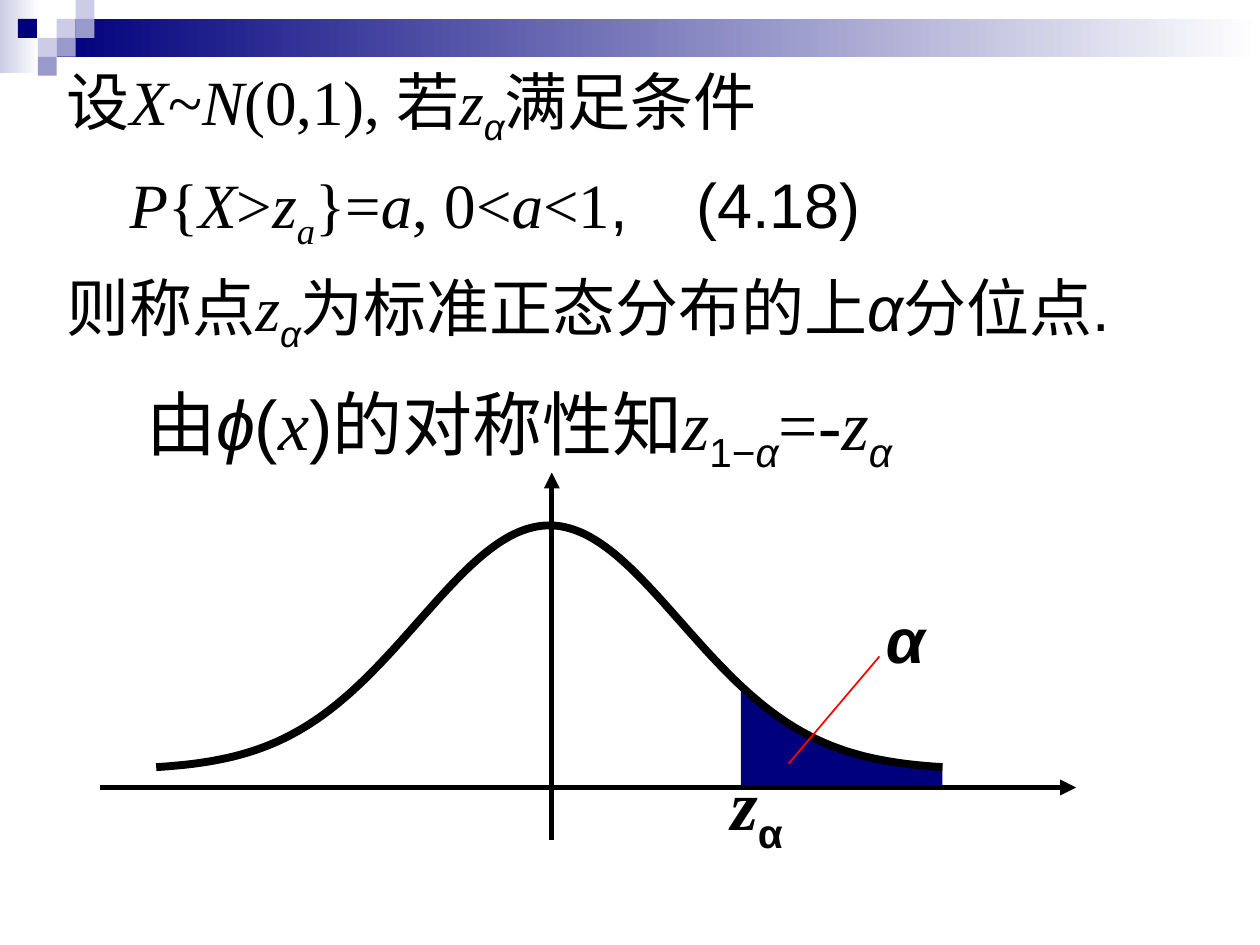
"""Build a slide that defines the upper alpha quantile of the normal distribution."""
import math
from dataclasses import dataclass
from typing import NamedTuple

import pptx
import pptx.dml.color
import pptx.enum.shapes
import pptx.enum.text
import pptx.oxml
import pptx.oxml.ns
import pptx.util
from lxml import etree

RGB = pptx.dml.color.RGBColor
NAVY = RGB(0x00, 0x00, 0x7D)
LAVENDER = RGB(0xCC, 0xCC, 0xE6)
VIOLET = RGB(0x99, 0x99, 0xCC)
WHITE = RGB(0xFF, 0xFF, 0xFF)
BLACK = RGB(0x00, 0x00, 0x00)
RED = RGB(0xFF, 0x00, 0x00)
SANS, SERIF = "Arial", "Times New Roman"
COLS, ROWS = 100, 75
TILE = 1.5
MEAN, SIGMA, SPREAD = 43.6, 10.4, 31.2
FLOOR, HEIGHT, AXIS = 61.1, 19.4, 62.4
QUANTILE = 58.8


class Box(NamedTuple):
    left: float
    top: float
    width: float
    height: float


class Span(NamedTuple):
    text: str
    font: str = SANS
    italic: bool = False
    sub: bool = False


@dataclass(frozen=True)
class Tile:
    col: float
    row: float
    color: RGB
    cols: float = 1
    rows: float = 1
    fade: bool = False


@dataclass(frozen=True)
class Rule:
    start: tuple
    end: tuple
    color: RGB = BLACK
    width: float = 3
    arrow: bool = True


TILES = [
    Tile(0, 0, LAVENDER, 2.07, 3.87, True),
    Tile(3, 1, NAVY, 63.67, 2, True),
    Tile(3, 1, LAVENDER),
    Tile(4, 0, LAVENDER),
    Tile(4, 1, VIOLET),
    Tile(2, 2, LAVENDER),
    Tile(0.95, 1, NAVY),
    Tile(3, 2, VIOLET),
    Tile(2, 3, VIOLET),
]
AXES = [Rule((7.9, 62.5), (85.4, 62.5)), Rule((43.8, 66.7), (43.8, 37.5))]
POINTER = Rule((62.6, 60.6), (69.8, 52.1), RED, 1, False)


def var(text: str) -> Span:
    return Span(text, SERIF, True)


def serif(text: str) -> Span:
    return Span(text, SERIF)


ALPHA = Span("α", italic=True)
SUB_ALPHA = Span("α", italic=True, sub=True)
SYMMETRY = [[
    Span("由"), Span("ϕ", italic=True), Span("("), var("x"), Span(")的对称性知"),
    var("z"), Span("1−", sub=True), SUB_ALPHA, serif("=-"), var("z"), SUB_ALPHA,
]]
DEFINITION = [
    [Span("设"), var("X"), serif("~"), var("N"), serif("(0,1), "), Span("若"),
     var("z"), SUB_ALPHA, Span("满足条件")],
    [Span("\t"), var("P"), serif("{"), var("X"), serif(">"), var("z"),
     Span("a", SERIF, True, True), serif("}="), var("a"), serif(",\t0<"),
     var("a"), serif("<1"), Span(",\t\t(4.18)")],
    [Span("则称点"), var("z"), SUB_ALPHA, Span("为标准正态分布的上"), ALPHA,
     Span("分位点.")],
]


def grid(cells: float) -> int:
    return pptx.util.Inches(cells / 10)


def add_run(p, text: str, *, font: str = SANS, size: float = 36, italic: bool = False,
            bold: bool = False, sub: bool = False, color: RGB = BLACK) -> None:
    r = p.add_run()
    r.text = text
    r.font.name, r.font.size = font, pptx.util.Pt(size)
    r.font.italic, r.font.bold = italic, bold
    r.font.color.rgb = color
    if sub:
        r.font._element.set("baseline", "-25000")


def write(sp, box: Box, lines: list, size: float, bold: bool = False, label: bool = False) -> None:
    sp.left, sp.top, sp.width, sp.height = map(grid, box)
    tf = sp.text_frame
    tf.word_wrap = not label
    tf.auto_size = pptx.enum.text.MSO_AUTO_SIZE.NONE
    p = tf.paragraphs[0]
    if label:
        p.alignment = pptx.enum.text.PP_ALIGN.CENTER
    else:
        tf.vertical_anchor = pptx.enum.text.MSO_ANCHOR.MIDDLE
        p.alignment = pptx.enum.text.PP_ALIGN.LEFT
        p.line_spacing, p.space_before = 1.2, pptx.util.Pt(size * 0.2)
    for i, line in enumerate(lines):
        if i:
            p.add_line_break()
        for span in line:
            add_run(p, span.text, font=span.font, size=size, italic=span.italic,
                    bold=bold, sub=span.sub)


def add_tile(s, tile: Tile) -> None:
    cells = (tile.col, tile.row, tile.cols, tile.rows)
    sp = s.shapes.add_shape(pptx.enum.shapes.MSO_SHAPE.RECTANGLE,
                            *(grid(TILE * c) for c in cells))
    sp.shadow.inherit = False
    sp.line.fill.background()
    if tile.fade:
        sp.fill.gradient()
        sp.fill.gradient_angle = 0
        for stop, color, position in zip(sp.fill.gradient_stops, (tile.color, WHITE), (0, 1)):
            stop.color.rgb, stop.position = color, position
    else:
        sp.fill.solid()
        sp.fill.fore_color.rgb = tile.color


def add_rule(s, rule: Rule) -> None:
    cx = s.shapes.add_connector(pptx.enum.shapes.MSO_CONNECTOR.STRAIGHT,
                                *map(grid, rule.start + rule.end))
    cx.line.color.rgb, cx.line.width = rule.color, pptx.util.Pt(rule.width)
    if rule.arrow:
        etree.SubElement(cx.line._get_or_add_ln(), pptx.oxml.ns.qn("a:tailEnd"), type="triangle")
    etree.SubElement(cx._element.spPr, pptx.oxml.ns.qn("a:effectLst"))


def bell(start: float, end: float, steps: int) -> list:
    xs = [start + (end - start) * i / steps for i in range(steps + 1)]
    return [(x, FLOOR - HEIGHT * math.exp(-((x - MEAN) / SIGMA) ** 2 / 2)) for x in xs]


def add_outline(s, points: list, closed: bool):
    (x, y), *rest = [(grid(px), grid(py)) for px, py in points]
    fb = s.shapes.build_freeform(x, y)
    fb.add_line_segments(rest, close=closed)
    sp = fb.convert_to_shape()
    sp.shadow.inherit = False
    return sp


def main() -> None:
    prs = pptx.Presentation()
    prs.slide_width, prs.slide_height = grid(COLS), grid(ROWS)
    s = prs.slides.add_slide(prs.slide_layouts[5])
    for tile in TILES:
        add_tile(s, tile)
    write(s.shapes.title, Box(10.6, 13.9, 100, 38.6), SYMMETRY, 40)

    right = MEAN + SPREAD
    tail = [(QUANTILE, AXIS), *bell(QUANTILE, right, 30), (right, AXIS)]
    area = add_outline(s, tail, True)
    area.fill.solid()
    area.fill.fore_color.rgb = NAVY
    area.line.fill.background()
    for axis in AXES:
        add_rule(s, axis)
    curve = add_outline(s, bell(MEAN - SPREAD, right, 200), False)
    curve.fill.background()
    curve.line.color.rgb, curve.line.width = BLACK, pptx.util.Pt(4.5)
    add_rule(s, POINTER)

    texts = [
        (Box(56.8, 59.9, 6.5, 7.7), [[var("z"), Span("α", sub=True)]], 40, True),
        (Box(69.3, 47.2, 5.1, 7), [[ALPHA]], 36, True),
        (Box(4.3, 0, 100, 31.7), DEFINITION, 36, False),
    ]
    for box, lines, size, label in texts:
        write(s.shapes.add_textbox(0, 0, 0, 0), box, lines, size, label, label)
    prs.save("out.pptx")


if __name__ == "__main__":
    main()
